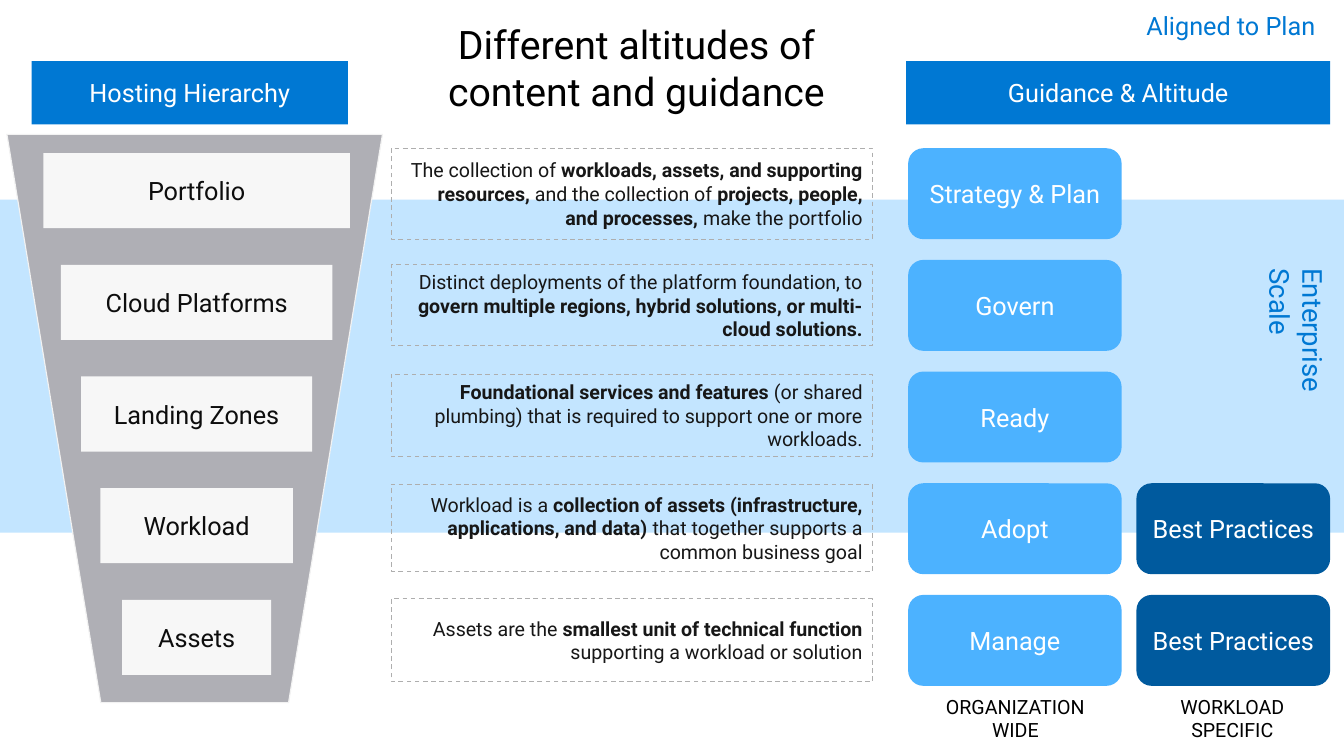
from pptx import Presentation
from pptx.dml.color import RGBColor
from pptx.enum.dml import MSO_LINE
from pptx.enum.shapes import MSO_SHAPE
from pptx.enum.text import MSO_ANCHOR, MSO_AUTO_SIZE, PP_ALIGN
from pptx.util import Inches, Pt

HUES = {
    "band": "C3E5FF", "funnel": "AFAFB5", "rim": "F2F2F2", "head": "0078D3",
    "tier": "F7F7F7", "ink": "0D0D0D", "note": "171717", "dash": "AEAEAE",
    "card": "4CB2FF", "deep": "005A9E", "white": "FFFFFF", "black": "000000",
}
FONT = "Roboto"
STEP = 1.13
TIERS = [("Portfolio", 3.1), ("Cloud Platforms", 2.75), ("Landing Zones", 2.34),
         ("Workload", 1.95), ("Assets", 1.51)]
NOTES = [
    (1.5, 0.92, "The collection of *workloads, assets, and supporting resources,* "
     "and the collection of *projects, people, and processes, *make the portfolio"),
    (2.68, 0.82, "Distinct deployments of the platform foundation, to "
     "*govern multiple regions, hybrid solutions, or multi-cloud solutions."),
    (3.79, 0.83, "*Foundational services and features *(or shared plumbing) "
     "that is required to support one or more workloads."),
    (4.9, 0.88, "Workload is a *collection of assets (infrastructure, applications, "
     "and data) *that together supports a common business goal"),
    (6.06, 0.84, "Assets are the *smallest unit of technical function *"
     "supporting a workload or solution"),
]
CARDS = ["Strategy & Plan", "Govern", "Ready", "Adopt", "Manage"]


def hue(name):
    """Return the named colour."""
    return RGBColor.from_string(HUES[name])


def place(box):
    """Turn a box in inches into lengths."""
    return [Inches(side) for side in box]


def write(frame, text, size, tint, align=PP_ALIGN.CENTER):
    """Fill a frame with lines, where stars switch bold on and off."""
    frame.word_wrap = True
    for row, line in enumerate(text.split("\n")):
        para = frame.add_paragraph() if row else frame.paragraphs[0]
        para.alignment = align
        font = para.font
        font.name, font.size = FONT, Pt(size)
        font.color.rgb = hue(tint)
        for turn, part in enumerate(line.split("*")):
            if part:
                run = para.add_run()
                run.text = part
                if turn % 2:
                    run.font.bold = True


def block(slide, box, fill=None, rim=None, kind=MSO_SHAPE.RECTANGLE):
    """Add a flat shape with an optional fill and rim."""
    shape = slide.shapes.add_shape(kind, *place(box))
    shape.shadow.inherit = False
    if fill:
        shape.fill.solid()
        shape.fill.fore_color.rgb = hue(fill)
    else:
        shape.fill.background()
    if rim:
        shape.line.color.rgb = hue(rim)
        shape.line.width = Pt(0.85)
    else:
        shape.line.fill.background()
    shape.text_frame.vertical_anchor = MSO_ANCHOR.MIDDLE
    return shape


def label(slide, box, text, size, tint, align=PP_ALIGN.CENTER):
    """Add a plain text box."""
    area = slide.shapes.add_textbox(*place(box))
    write(area.text_frame, text, size, tint, align)
    return area


def header(slide, box, text):
    """Add a column heading bar."""
    write(block(slide, box, "head").text_frame, text, 18.4, "white")


def title(slide, box):
    """Place the slide title."""
    head = slide.shapes.title
    head.left, head.top, head.width, head.height = place(box)
    frame = head.text_frame
    frame.auto_size = MSO_AUTO_SIZE.NONE
    frame.vertical_anchor = MSO_ANCHOR.TOP
    write(frame, "Different altitudes of content and guidance", 28.6, "black")


def funnel(slide, box):
    """Draw the hosting tiers inside a narrowing funnel."""
    left, top, width, high = box
    shape = block(slide, box, "funnel", "rim", MSO_SHAPE.TRAPEZOID)
    shape.rotation = 180
    shape.adjustments[0] = 0.25
    mid = left + width / 2 + 0.02
    for row, (name, wide) in enumerate(TIERS):
        spot = (mid - wide / 2, top + 0.19 + row * STEP, wide, 0.76)
        write(block(slide, spot, "tier").text_frame, name, 18.4, "ink")


def notes(slide, left, width):
    """Draw the dashed description of each tier."""
    for top, high, text in NOTES:
        shape = block(slide, (left, top, width, high), rim="dash")
        shape.line.dash_style = MSO_LINE.DASH
        write(shape.text_frame, text, 14.3, "note", PP_ALIGN.RIGHT)


def card(slide, box, text, fill):
    """Add a rounded guidance card."""
    shape = block(slide, box, fill, kind=MSO_SHAPE.ROUNDED_RECTANGLE)
    write(shape.text_frame, text, 18.4, "white")


def guide(slide, left, top):
    """Draw the guidance cards and the captions below them."""
    for row, name in enumerate(CARDS):
        level = top + row * STEP
        card(slide, (left, level, 2.16, 0.92), name, "card")
        if row > 2:
            card(slide, (left + 2.31, level, 1.96, 0.92), "Best Practices", "deep")
    foot = top + 5.48
    label(slide, (left + 0.04, foot, 2.09, 0.59), "ORGANIZATION\nWIDE", 14.3, "black")
    label(slide, (left + 2.49, foot, 1.58, 0.59), "WORKLOAD SPECIFIC", 14.3, "black")


def scope(slide):
    """Add the two blue scope labels at the right edge."""
    top = label(slide, (11.31, 0, 2.29, 0.51), "Aligned to Plan", 18.4, "head")
    top.text_frame.vertical_anchor = MSO_ANCHOR.MIDDLE
    side = label(slide, (12.15, 3.36, 1.95, 0.66), "Enterprise Scale", 20, "head",
                 PP_ALIGN.LEFT)
    side.rotation = 90
    frame = side.text_frame
    frame.margin_left = frame.margin_right = 0
    frame.margin_top = frame.margin_bottom = 0


def main():
    """Build and save the slide."""
    deck = Presentation()
    deck.slide_width, deck.slide_height = Inches(13.6), Inches(7.65)
    slide = deck.slides.add_slide(deck.slide_layouts[5])
    title(slide, (3.87, 0.15, 5.14, 1.08))
    block(slide, (0, 2.02, 13.6, 3.37), "band")
    funnel(slide, (0.07, 1.36, 3.8, 5.75))
    header(slide, (0.32, 0.62, 3.2, 0.64), "Hosting Hierarchy")
    notes(slide, 3.96, 4.87)
    header(slide, (9.17, 0.62, 4.29, 0.64), "Guidance & Altitude")
    guide(slide, 9.19, 1.5)
    scope(slide)
    deck.save("out.pptx")


if __name__ == "__main__":
    main()
